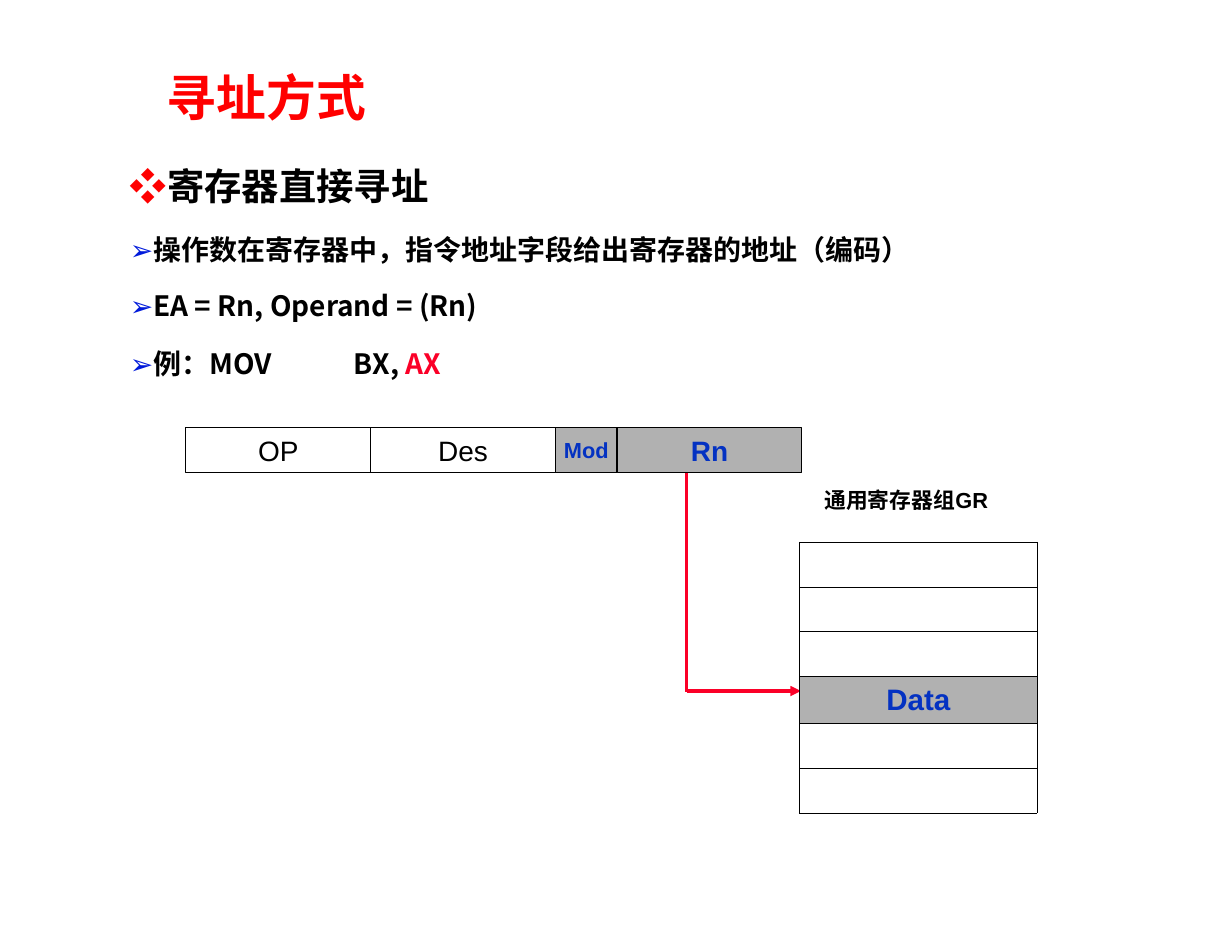
"""Builds the slide on register direct addressing."""
from lxml import etree
from pptx import Presentation
from pptx.dml.color import RGBColor
from pptx.enum.shapes import MSO_CONNECTOR, MSO_SHAPE
from pptx.enum.text import MSO_ANCHOR, PP_ALIGN
from pptx.oxml.ns import qn
from pptx.util import Inches, Pt

RECTANGLE = MSO_SHAPE.RECTANGLE
STRAIGHT = MSO_CONNECTOR.STRAIGHT
CENTER = PP_ALIGN.CENTER
MIDDLE = MSO_ANCHOR.MIDDLE
COLORS = {
    "title": "FF0000", "text": "000000", "bullet": "001ADB",
    "accent": "FB0028", "label": "0432C2", "shade": "B1B1B1",
}
SC_FONT = "Noto Sans CJK SC"
TC_FONT = "Noto Sans CJK TC"


def color(name):
    return RGBColor.from_string(COLORS[name])


def add_run(paragraph, text, size, font, color_name, bold=True):
    run = paragraph.add_run()
    run.text = text
    run.font.size = Pt(size)
    run.font.name = font
    run.font.bold = bold
    run.font.color.rgb = color(color_name)
    for tag in ("a:ea", "a:sym"):
        etree.SubElement(run._r.get_or_add_rPr(), qn(tag)).set("typeface", font)


presentation = Presentation()
presentation.slide_width = Inches(11)
presentation.slide_height = Inches(8.5)
slide = presentation.slides.add_slide(presentation.slide_layouts[6])

title = slide.shapes.add_textbox(Inches(1.39), Inches(0.42), Inches(2.94), Inches(0.96))
title.text_frame.word_wrap = True
title.text_frame.vertical_anchor = MIDDLE
title_paragraph = title.text_frame.paragraphs[0]
title_paragraph.line_spacing = 0.9
add_run(title_paragraph, "寻址方式", 32, SC_FONT, "title")

body = slide.shapes.add_textbox(Inches(1.15), Inches(1.26), Inches(8.11), Inches(2.14))
caption = slide.shapes.add_textbox(Inches(7.36), Inches(4.35), Inches(1.61), Inches(0.23))
for box in (body, caption):
    frame = box.text_frame
    frame.word_wrap = True
    frame.margin_left = frame.margin_right = frame.margin_top = frame.margin_bottom = 0

lines = [
    (24, 0, [("❖", "title"), ("寄存器直接寻址", "text")]),
    (18, 4.6, [("➢", "bullet"), ("操作数在寄存器中，指令地址字段给出寄存器的地址（编码）", "text")]),
    (18, 3.6, [("➢", "bullet"), ("EA = Rn, Operand = (Rn)", "text")]),
    (18, 5.1, [("➢", "bullet"), ("例：MOV\tBX, ", "text"), ("AX", "accent")]),
]
for index, (size, space_before, runs) in enumerate(lines):
    paragraph = body.text_frame.paragraphs[0] if index == 0 else body.text_frame.add_paragraph()
    paragraph.line_spacing = 1.5
    if index:
        paragraph.space_before = Pt(space_before)
    properties = paragraph._p.get_or_add_pPr()
    properties.set("marL", str(Inches(0.01)))
    tabs = etree.SubElement(properties, qn("a:tabLst"))
    for inch in range(1, 8):
        etree.SubElement(tabs, qn("a:tab"), pos=str(Inches(inch)), algn="l")
    for position, (text, color_name) in enumerate(runs):
        add_run(paragraph, text, size, SC_FONT, color_name, bold=position > 0)

caption_paragraph = caption.text_frame.paragraphs[0]
add_run(caption_paragraph, "通用寄存器组", 14, TC_FONT, "text")
add_run(caption_paragraph, "GR", 14, "Arial", "text")

left = 1.66
for text, width, size, shaded in [
    ("OP", 1.65, 18, False),
    ("Des", 1.65, 18, False),
    ("Mod", 0.55, 14, True),
    ("Rn", 1.65, 18, True),
]:
    field = slide.shapes.add_shape(RECTANGLE, Inches(left), Inches(3.82), Inches(width), Inches(0.4))
    field.shadow.inherit = False
    field.line.color.rgb = color("text")
    field.line.width = Pt(0.75)
    if shaded:
        field.fill.solid()
        field.fill.fore_color.rgb = color("shade")
    else:
        field.fill.background()
    frame = field.text_frame
    frame.margin_left = frame.margin_right = frame.margin_top = frame.margin_bottom = 0
    frame.vertical_anchor = MIDDLE
    frame.paragraphs[0].alignment = CENTER
    add_run(frame.paragraphs[0], text, size, "Arial", "label" if shaded else "text", bold=shaded)
    left += width

for start_x, start_y, end_x, end_y, has_head in [
    (6.13, 4.22, 6.13, 6.18, False),
    (6.13, 6.17, 7.15, 6.17, True),
]:
    connector = slide.shapes.add_connector(
        STRAIGHT, Inches(start_x), Inches(start_y), Inches(end_x), Inches(end_y)
    )
    connector.line.color.rgb = color("accent")
    connector.line.width = Pt(2.25)
    if has_head:
        etree.SubElement(connector.line._get_or_add_ln(), qn("a:tailEnd"), type="triangle")
    etree.SubElement(connector._element.spPr, qn("a:effectLst"))

DATA_ROW = 3
table = slide.shapes.add_table(
    6, 1, Inches(7.14), Inches(4.84), Inches(2.12), Inches(2.42)
).table
table.first_row = False
table.horz_banding = False
for index, row in enumerate(table.rows):
    row.height = Inches(0.42 if index == DATA_ROW else 0.4)
    cell = row.cells[0]
    cell.margin_top = cell.margin_bottom = 0
    cell.vertical_anchor = MIDDLE
    cell_properties = cell._tc.get_or_add_tcPr()
    for side in ("a:lnL", "a:lnR", "a:lnT", "a:lnB"):
        border = etree.SubElement(cell_properties, qn(side), w=str(Pt(0.34)))
        border_fill = etree.SubElement(border, qn("a:solidFill"))
        etree.SubElement(border_fill, qn("a:srgbClr"), val=COLORS["text"])
    if index == DATA_ROW:
        cell.fill.solid()
        cell.fill.fore_color.rgb = color("shade")
        paragraph = cell.text_frame.paragraphs[0]
        paragraph.alignment = CENTER
        add_run(paragraph, "Data", 19, "Arial", "label")
    else:
        cell.fill.background()

presentation.save("out.pptx")
